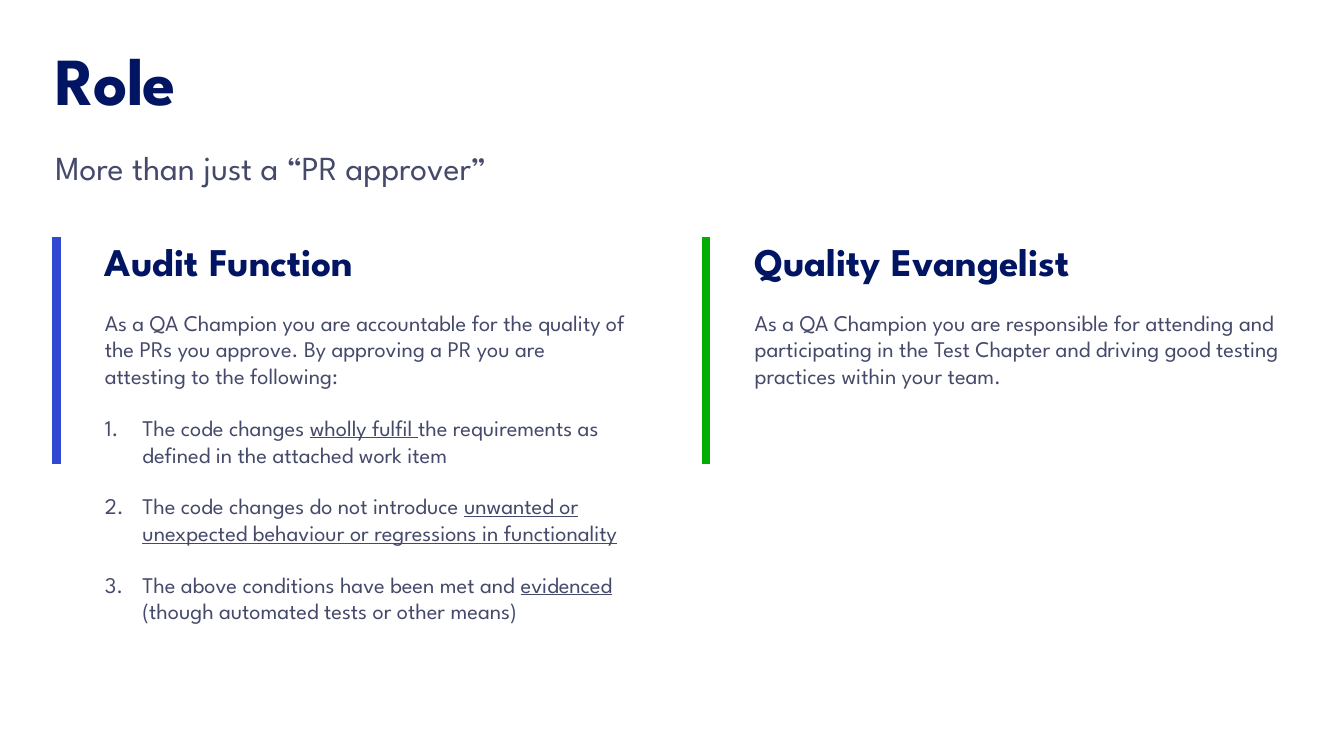
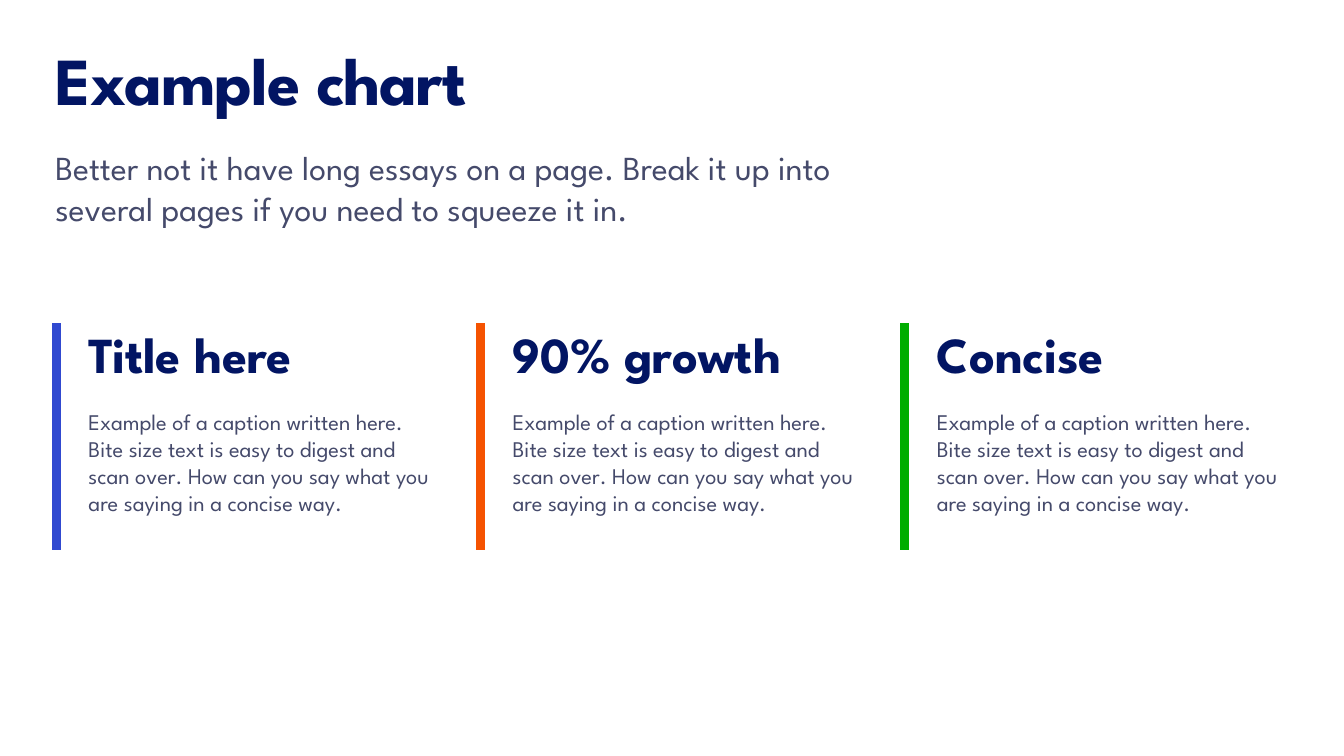
from lxml import etree
from pptx import Presentation
from pptx import util as u
from pptx.dml.color import RGBColor
from pptx.enum import shapes, text
from pptx.oxml import ns

COLORS = {"navy": "021563", "slate": "454A6B", "blue": "3049D0", "orange": "F55301", "green": "00AD00"}
FONT = "League Spartan"
CAPTION = ("Example of a caption written here. Bite size text is easy to digest and scan over. "
           "How can you say what you are saying in a concise way.")

# Underscores are avoided in favour of tuples: every second piece is underlined.
SLIDES = [
    {
        "title": "Role",
        "lead": "More than just a “PR approver”",
        "lead_height": 1.27,
        "grid": {"top": 5.97, "pitch": 16.38, "indent": 1.22, "width": 13.28, "heading_size": 28},
        "columns": [
            {
                "bar": "blue", "height": 11.96, "heading": "Audit Function",
                "caption": "As a QA Champion you are accountable for the quality of the PRs you approve. "
                           "By approving a PR you are attesting to the following:",
                "conditions": [
                    ("The code changes ", "wholly fulfil ",
                     "the requirements as defined in the attached work item"),
                    ("The code changes do not introduce ",
                     "unwanted or unexpected behaviour or regressions in functionality"),
                    ("The above conditions have been met and ", "evidenced",
                     " (though automated tests or other means)"),
                ],
            },
            {
                "bar": "green", "height": 4.57, "heading": "Quality Evangelist",
                "caption": "As a QA Champion you are responsible for attending and participating in the "
                           "Test Chapter and driving good testing practices within your team.",
            },
        ],
    },
    {
        "title": "Example chart",
        "lead": "Better not it have long essays on a page. Break it up into several pages "
                "if you need to squeeze it in.",
        "lead_height": 2.31,
        "grid": {"top": 8.15, "pitch": 10.69, "indent": 0.81, "width": 8.79, "heading_size": 36},
        "columns": [
            {"bar": bar, "height": 5.59, "heading": heading, "caption": CAPTION}
            for bar, heading in [("blue", "Title here"), ("orange", "90% growth"), ("green", "Concise")]
        ],
    },
]

TITLE_BOX = (1.14, 1.22, 14.96, 1.9)
LEAD_LEFT, LEAD_TOP, LEAD_WIDTH = 1.14, 3.58, 21.67
BAR_LEFT, BAR_HEIGHT, BAR_WEIGHT = 1.42, 5.72, 6
NUMBER_INDENT = 0.95
FRAME = {"word_wrap": True, "auto_size": text.MSO_AUTO_SIZE.NONE, "vertical_anchor": text.MSO_ANCHOR.TOP}
NO_MARGINS = dict.fromkeys(("margin_left", "margin_top", "margin_right", "margin_bottom"), 0)
PLAIN = {"alignment": text.PP_ALIGN.LEFT, "space_before": u.Pt(0), "space_after": u.Pt(0), "line_spacing": 1.0}
TIGHT = PLAIN | {"line_spacing": 0.8}
SPACED = PLAIN | {"space_after": u.Pt(17.6)}


def apply(target, values):
    for name, value in values.items():
        setattr(target, name, value)


def style(size, color, bold=False):
    return {"size": u.Pt(size), "name": FONT, "bold": bold}, RGBColor.from_string(COLORS[color])


TITLE_STYLE = style(48, "navy", True)
LEAD_STYLE = style(24, "slate")
CAPTION_STYLE = style(16, "slate")


def set_marker(paragraph, numbered):
    indent = u.Cm(NUMBER_INDENT) if numbered else 0
    properties = paragraph._p.get_or_add_pPr()
    properties.set("marL", str(indent))
    properties.set("indent", str(-indent))
    if numbered:
        etree.SubElement(properties, ns.qn("a:buFont"), typeface=FONT)
        etree.SubElement(properties, ns.qn("a:buAutoNum"), type="arabicPeriod")
    else:
        etree.SubElement(properties, ns.qn("a:buNone"))


def fill_placeholder(holder, box, paragraphs, margins=None):
    apply(holder, dict(zip(("left", "top", "width", "height"), map(u.Cm, box))))
    frame = holder.text_frame
    apply(frame, FRAME | (margins or {}))
    for number, (pieces, (font, color), spacing, numbered) in enumerate(paragraphs):
        paragraph = frame.add_paragraph() if number else frame.paragraphs[0]
        set_marker(paragraph, numbered)
        apply(paragraph, spacing)
        for position, piece in enumerate(pieces):
            run = paragraph.add_run()
            run.text = piece
            apply(run.font, font | {"underline": position % 2 == 1})
            run.font.color.rgb = color


def add_bar(slide, left, top, color):
    bar = slide.shapes.add_connector(shapes.MSO_CONNECTOR.STRAIGHT, u.Cm(left), u.Cm(top),
                                     u.Cm(left), u.Cm(top + BAR_HEIGHT))
    bar.line.width = u.Pt(BAR_WEIGHT)
    bar.line.color.rgb = RGBColor.from_string(COLORS[color])
    etree.SubElement(bar._element.spPr, ns.qn("a:effectLst"))


def add_column(slide, holder, column, left, grid):
    add_bar(slide, left, grid["top"], column["bar"])
    paragraphs = [
        ((column["heading"],), style(grid["heading_size"], "navy", True), SPACED, False),
        ((column["caption"],), CAPTION_STYLE, SPACED, False),
    ]
    paragraphs += [(pieces, CAPTION_STYLE, SPACED, True) for pieces in column.get("conditions", [])]
    box = (left + grid["indent"], grid["top"], grid["width"], column["height"])
    fill_placeholder(holder, box, paragraphs, NO_MARGINS)


def build_slide(deck, content):
    slide = deck.slides.add_slide(deck.slide_layouts.get_by_name("Comparison"))
    title, lead, *bodies = [holder for holder in slide.placeholders]
    fill_placeholder(title, TITLE_BOX, [((content["title"],), TITLE_STYLE, TIGHT, False)])
    for run in title.text_frame.paragraphs[0].runs:
        run._r.get_or_add_rPr().set("spc", "-80")
    lead_box = (LEAD_LEFT, LEAD_TOP, LEAD_WIDTH, content["lead_height"])
    fill_placeholder(lead, lead_box, [((content["lead"],), LEAD_STYLE, PLAIN, False)])
    columns, grid = content["columns"], content["grid"]
    for number, (holder, column) in enumerate(zip(bodies, columns)):
        add_column(slide, holder, column, BAR_LEFT + number * grid["pitch"], grid)
    for unused in bodies[len(columns):]:
        unused._element.getparent().remove(unused._element)


def main():
    deck = Presentation()
    apply(deck, {"slide_width": u.Cm(33.87), "slide_height": u.Cm(19.05)})
    for content in SLIDES:
        build_slide(deck, content)
    deck.save("out.pptx")


if __name__ == "__main__":
    main()
